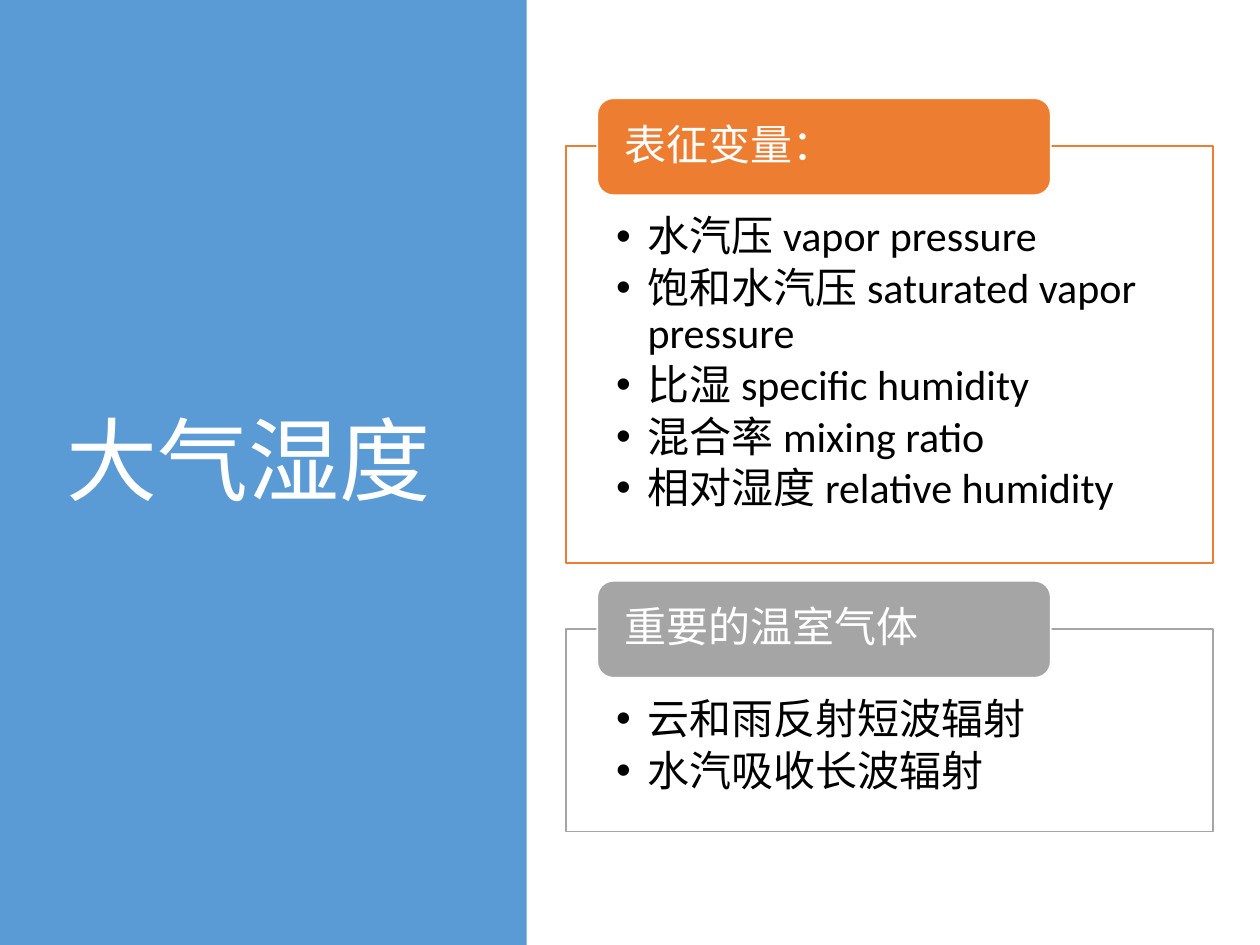
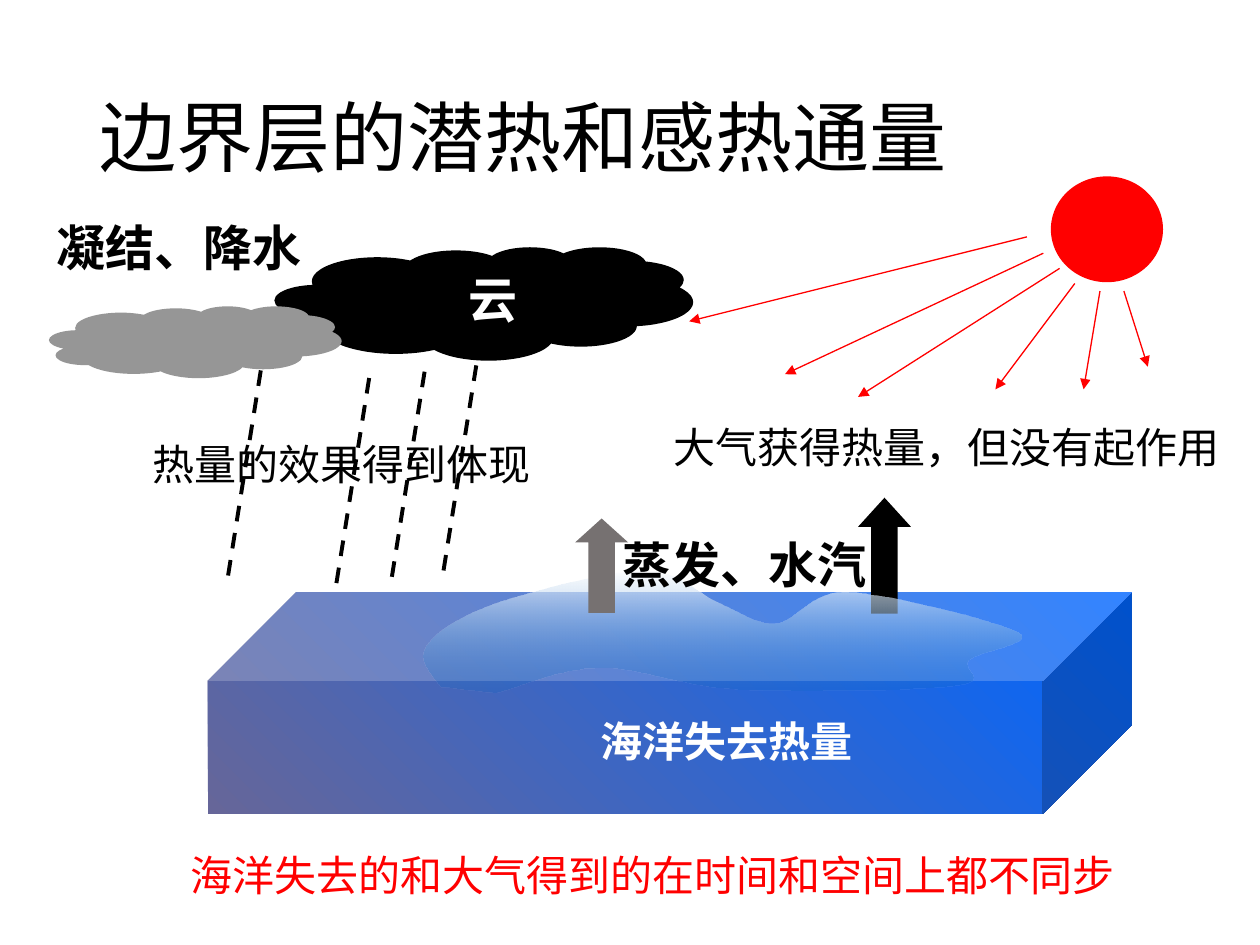
from itertools import chain
from lxml import etree
from pptx import Presentation
from pptx.dml.color import RGBColor
from pptx.enum.dml import MSO_LINE
from pptx.enum.lang import MSO_LANGUAGE_ID
from pptx.enum.shapes import MSO_CONNECTOR, MSO_SHAPE
from pptx.enum.text import MSO_ANCHOR, MSO_AUTO_SIZE, PP_ALIGN
from pptx.oxml.ns import qn
from pptx.util import Inches, Pt

RECT, ROUND_RECT = MSO_SHAPE.RECTANGLE, MSO_SHAPE.ROUNDED_RECTANGLE
CUBE, OVAL = MSO_SHAPE.CUBE, MSO_SHAPE.OVAL
ARROW, CLOUD = MSO_SHAPE.RIGHT_ARROW, MSO_SHAPE.CLOUD_CALLOUT
STRAIGHT, DASH = MSO_CONNECTOR.STRAIGHT, MSO_LINE.DASH
LEFT, TOP, MIDDLE = PP_ALIGN.LEFT, MSO_ANCHOR.TOP, MSO_ANCHOR.MIDDLE
NO_FIT, GROW = MSO_AUTO_SIZE.NONE, MSO_AUTO_SIZE.SHAPE_TO_FIT_TEXT
CHINESE = MSO_LANGUAGE_ID.SIMPLIFIED_CHINESE

COLORS = {
    "white": "FFFFFF", "black": "000000", "blue": "5B9BD5",
    "orange": "ED7D31", "gray": "A5A5A5", "red": "FF0000",
    "sea_dusk": "666699", "sea_bright": "0066FF", "vapor_blue": "0563C1",
    "arrow_gray": "767171", "rain_cloud": "969696",
}
BODY = {"name": "Calibri", "size": Pt(24), "bold": False}
STRONG = {**BODY, "bold": True}
PROCESS = {"name": "Roboto", "size": Pt(28), "bold": True}

PANELS = [
    ("表征变量：", "orange", 1.16, 3.31,
     ["水汽压 vapor pressure", "饱和水汽压 saturated vapor pressure",
      "比湿 specific humidity", "混合率 mixing ratio", "相对湿度 relative humidity"]),
    ("重要的温室气体", "gray", 4.99, 1.61,
     ["云和雨反射短波辐射", "水汽吸收长波辐射"]),
]
SUN_RAYS = [
    ((8.15, 1.88), (5.47, 2.55)), ((8.28, 2.01), (6.23, 2.97)),
    ((8.41, 2.13), (6.81, 3.15)), ((8.53, 2.25), (7.9, 3.09)),
    ((8.73, 2.31), (8.6, 3.09)), ((8.92, 2.31), (9.11, 2.91)),
]
RAIN_STARTS = [(2.07, 2.94), (2.93, 3), (3.37, 2.95), (3.78, 2.9)]
VAPOR_START = (3.5, 5.45)
VAPOR_CURVES = [
    ((3.41, 5.34), (3.31, 5.23), (3.39, 5.12)),
    ((3.47, 5), (3.68, 4.88), (3.96, 4.78)),
    ((4.25, 4.69), (4.83, 4.53), (5.12, 4.53)),
    ((5.4, 4.53), (5.52, 4.71), (5.69, 4.78)),
    ((5.86, 4.85), (5.98, 4.96), (6.15, 4.95)),
    ((6.32, 4.94), (6.41, 4.69), (6.73, 4.7)),
    ((7.04, 4.71), (7.91, 4.93), (8.07, 5.02)),
    ((8.23, 5.11), (7.77, 5.16), (7.68, 5.24)),
    ((7.6, 5.31), (7.88, 5.4), (7.57, 5.44)),
    ((7.27, 5.48), (6.32, 5.49), (5.85, 5.47)),
    ((5.38, 5.45), (5.07, 5.29), (4.75, 5.3)),
    ((4.43, 5.3), (4.1, 5.46), (3.93, 5.5)),
]


def rgb(color):
    return RGBColor.from_string(COLORS[color])


def set_attrs(target, values):
    for name, value in values.items():
        setattr(target, name, value)


def add_run(p, text, style, color):
    r = p.add_run()
    r.text = text
    set_attrs(r.font, {**style, "language_id": CHINESE})
    r.font.color.rgb = rgb(color)


def set_margins(tf, *insets):
    sides = ("margin_left", "margin_top", "margin_right", "margin_bottom")
    set_attrs(tf, dict(zip(sides, map(Inches, insets))))


def add_title(s, text, box, size, color):
    title = s.shapes.title
    set_attrs(title, dict(zip(("left", "top", "width", "height"), map(Inches, box))))
    tf = title.text_frame
    set_attrs(tf, {"vertical_anchor": MIDDLE, "word_wrap": True, "auto_size": NO_FIT})
    p = tf.paragraphs[0]
    set_attrs(p, {"alignment": LEFT, "line_spacing": 0.9})
    add_run(p, text, {**BODY, "size": Pt(size)}, color)


def paint(sp, fill, line=None):
    sp.shadow.inherit = False
    if fill:
        sp.fill.solid()
        sp.fill.fore_color.rgb = rgb(fill)
    if line:
        sp.line.color.rgb = rgb(line)
        sp.line.width = Pt(1)
    else:
        sp.line.fill.background()


def paint_gradient(sp, colors, angle, opacities=()):
    paint(sp, None)
    sp.fill.gradient()
    sp.fill.gradient_angle = angle
    for stop, color in zip(sp.fill.gradient_stops, colors):
        stop.color.rgb = rgb(color)
    for clr, opacity in zip(sp._element.spPr.iter(qn("a:srgbClr")), opacities):
        etree.SubElement(clr, qn("a:alpha"), val=str(opacity * 1000))


def add_shape(s, kind, box, fill=None, line=None, adjust=(), rotation=0):
    sp = s.shapes.add_shape(kind, *map(Inches, box))
    paint(sp, fill, line)
    for i, value in enumerate(adjust):
        sp.adjustments[i] = value
    sp.rotation = rotation
    return sp


def add_label(s, text, box, style=BODY, color="black", wrap=False):
    tf = s.shapes.add_textbox(*map(Inches, box)).text_frame
    set_attrs(tf, {"word_wrap": wrap, "auto_size": GROW})
    add_run(tf.paragraphs[0], text, style, color)


def add_line(s, start, end, color, width, dash=None, arrow=False):
    line = s.shapes.add_connector(STRAIGHT, *map(Inches, (*start, *end)))
    line.line.color.rgb = rgb(color)
    line.line.width = Pt(width)
    if dash:
        line.line.dash_style = dash
    sp_pr = line._element.spPr
    if arrow:
        etree.SubElement(sp_pr.find(qn("a:ln")), qn("a:tailEnd"), type="triangle")
    etree.SubElement(sp_pr, qn("a:effectLst"))


def add_bullet(p, text):
    p_pr = p._p.get_or_add_pPr()
    p_pr.set("marL", str(Inches(0.25)))
    p_pr.set("indent", str(-Inches(0.25)))
    etree.SubElement(p_pr, qn("a:buFont"), typeface="Arial")
    etree.SubElement(p_pr, qn("a:buChar"), char="•")
    set_attrs(p, {"alignment": LEFT, "line_spacing": 0.9, "space_after": Pt(3.6)})
    add_run(p, text, BODY, "black")


def add_panel(s, heading, color, top, height, items):
    body = add_shape(s, RECT, (4.49, top, 5.14, height), "white", color)
    tf = body.text_frame
    set_attrs(tf, {"word_wrap": True, "vertical_anchor": TOP})
    set_margins(tf, 0.4, 0.55, 0.4, 0.19)
    for i, item in enumerate(items):
        add_bullet(tf.add_paragraph() if i else tf.paragraphs[0], item)
    tab = add_shape(s, ROUND_RECT, (4.74, top - 0.38, 3.6, 0.77), color, "white")
    tf = tab.text_frame
    set_attrs(tf, {"word_wrap": True, "vertical_anchor": MIDDLE})
    set_margins(tf, 0.18, 0, 0.18, 0)
    p = tf.paragraphs[0]
    set_attrs(p, {"alignment": LEFT, "line_spacing": 0.9})
    add_run(p, heading, BODY, "white")


def add_curved_shape(s, start, curves):
    builder = s.shapes.build_freeform(*map(Inches, start))
    points = [tuple(map(Inches, point)) for point in chain.from_iterable(curves)]
    builder.add_line_segments(points, close=False)
    sp = builder.convert_to_shape()
    outline = next(sp._element.spPr.iter(qn("a:path")))
    for i, line in enumerate(outline.findall(qn("a:lnTo"))):
        if i % 3 == 0:
            curve = etree.SubElement(outline, qn("a:cubicBezTo"))
        curve.append(line[0])
        outline.remove(line)
    return sp


def build_humidity(s):
    band = add_shape(s, RECT, (0, 0, 4.18, 7.5), "blue")
    s.shapes._spTree.insert(2, band._element)
    add_title(s, "大气湿度", (0.43, 0.68, 3.12, 6.02), 52, "white")
    for panel in PANELS:
        add_panel(s, *panel)


def build_heat_flux(s):
    add_title(s, "边界层的潜热和感热通量", (0.69, 0.4, 8.62, 1.45), 44, "black")
    ocean = add_shape(s, CUBE, (1.65, 4.7, 7.33, 1.76), adjust=(0.4,))
    paint_gradient(ocean, ("sea_dusk", "sea_bright"), 45)
    add_shape(s, OVAL, (8.34, 1.4, 0.89, 0.84), "red")
    for start, end in SUN_RAYS:
        add_line(s, start, end, "red", 0.75, arrow=True)
    add_shape(s, ARROW, (6.56, 4.2, 0.92, 0.42), "black", adjust=(0.5, 0.55), rotation=270)
    vapor = add_curved_shape(s, VAPOR_START, VAPOR_CURVES)
    paint_gradient(vapor, ("white", "vapor_blue"), 270, (79, 19))
    add_shape(s, ARROW, (4.4, 4.28, 0.75, 0.42), "arrow_gray", adjust=(0.5, 0.45), rotation=270)
    add_label(s, "蒸发、水汽", (4.84, 4.19, 2.17, 0.57), PROCESS)
    add_shape(s, CLOUD, (2.18, 1.96, 3.32, 0.9), "black", adjust=(-0.29, 0.06))
    add_label(s, "凝结、降水", (0.35, 1.68, 2.17, 0.57), PROCESS)
    add_label(s, "云", (3.62, 2.09, 0.59, 0.57), PROCESS, "white")
    add_shape(s, CLOUD, (0.39, 2.43, 2.32, 0.57), "rain_cloud", adjust=(0.31, 0.02))
    for x, y in RAIN_STARTS:
        add_line(s, (x, y), (x - 0.26, y + 1.63), "black", 2.25, dash=DASH)
    add_label(s, "海洋失去热量", (4.67, 5.63, 2.3, 0.5), STRONG, "white", wrap=True)
    add_label(s, "大气获得热量，但没有起作用", (5.25, 3.3, 4.58, 0.5))
    add_label(s, "热量的效果得到体现", (1.11, 3.43, 3.23, 0.5))
    add_label(s, "海洋失去的和大气得到的在时间和空间上都不同步",
              (1.41, 6.69, 7.61, 0.5), color="red")


def main():
    prs = Presentation()
    prs.slide_width, prs.slide_height = Inches(10), Inches(7.5)
    title_only = prs.slide_layouts[5]
    for build in (build_humidity, build_heat_flux):
        build(prs.slides.add_slide(title_only))
    prs.save("out.pptx")


if __name__ == "__main__":
    main()
